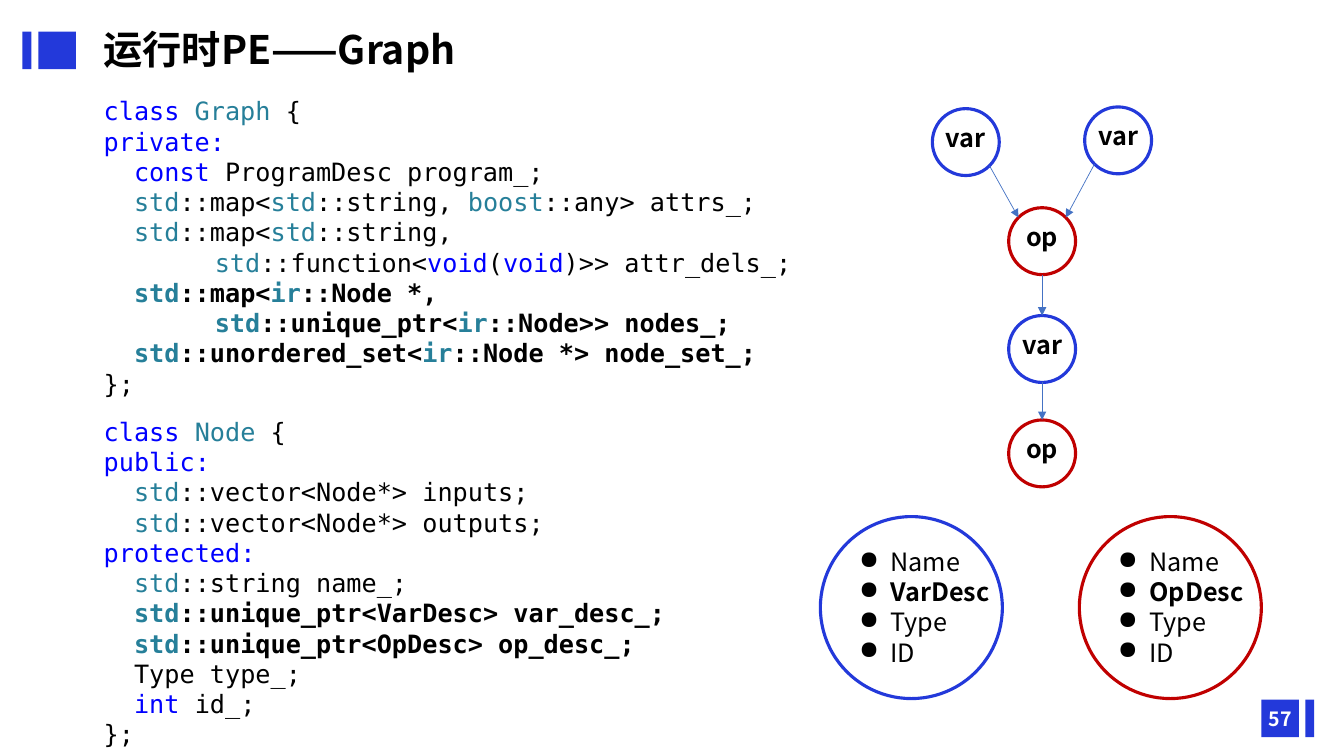
import math
import pptx
import pptx.dml.color
import pptx.enum.shapes
import pptx.enum.text
import pptx.oxml.ns
import pptx.oxml.xmlchemy
import pptx.util
from lxml import etree

Pt = pptx.util.Pt
ALIGN = pptx.enum.text.PP_ALIGN
ANCHOR = pptx.enum.text.MSO_ANCHOR
SHAPE = pptx.enum.shapes.MSO_SHAPE
STRAIGHT = pptx.enum.shapes.MSO_CONNECTOR.STRAIGHT

SANS, MONO = "Noto Sans CJK SC", "DejaVu Sans Mono"
BLACK, WHITE, BLUE, RED = "000000", "FFFFFF", "2339DA", "C00000"
KEYWORD, TYPE, ARROW = "0000FF", "267F99", "4472C4"

TITLE = "运行时PE——Graph"
PAGE_NUMBER = "57"
STD = ("  std", TYPE)
NESTED_STD = ("\t    std", TYPE)
IR = ("ir", TYPE)
CLOSE = (False, [("};", BLACK)])

GRAPH_CODE = [
    (False, [("class ", KEYWORD), ("Graph", TYPE), (" {", BLACK)]),
    (False, [("private:", KEYWORD)]),
    (False, [("  const ", KEYWORD), ("ProgramDesc program_;", BLACK)]),
    (False, [STD, ("::map<", BLACK), ("std", TYPE), ("::string, ", BLACK),
             ("boost", TYPE), ("::any> attrs_;", BLACK)]),
    (False, [STD, ("::map<", BLACK), ("std", TYPE), ("::string,", BLACK)]),
    (False, [NESTED_STD, ("::function<", BLACK), ("void", KEYWORD), ("(", BLACK),
             ("void", KEYWORD), (")>> attr_dels_;", BLACK)]),
    (True, [STD, ("::map<", BLACK), IR, ("::Node *,", BLACK)]),
    (True, [NESTED_STD, ("::unique_ptr<", BLACK), IR, ("::Node>> nodes_;", BLACK)]),
    (True, [STD, ("::unordered_set<", BLACK), IR, ("::Node *> node_set_;", BLACK)]),
    CLOSE,
]
NODE_CODE = [
    (False, [("class ", KEYWORD), ("Node", TYPE), (" {", BLACK)]),
    (False, [("public:", KEYWORD)]),
    (False, [STD, ("::vector<Node*> inputs;", BLACK)]),
    (False, [STD, ("::vector<Node*> outputs;", BLACK)]),
    (False, [("protected:", KEYWORD)]),
    (False, [STD, ("::string name_;", BLACK)]),
    (True, [STD, ("::unique_ptr<VarDesc> var_desc_;", BLACK)]),
    (True, [STD, ("::unique_ptr<OpDesc> op_desc_;", BLACK)]),
    (False, [("  Type type_;", BLACK)]),
    (False, [("  int", KEYWORD), (" id_;", BLACK)]),
    CLOSE,
]
BARS = [(27.4, 22.6, 26.8), (16, 22.6, 6.4), (901, 499.7, 26.8), (932.4, 499.7, 6.4)]
BAR_HEIGHT = 26.8

NODE_SIZE = 47.8
NODES = {
    "left input": ("var", BLUE, 666, 77.6),
    "right input": ("var", BLUE, 774.8, 76.4),
    "first op": ("op", RED, 720.5, 148.4),
    "output": ("var", BLUE, 720.5, 225.4),
    "last op": ("op", RED, 720.5, 300),
}
DIAGONAL = math.sqrt(0.5)
TOP, BOTTOM = (0, -1), (0, 1)
TOP_LEFT, TOP_RIGHT = (-DIAGONAL, -DIAGONAL), (DIAGONAL, -DIAGONAL)
BOTTOM_LEFT, BOTTOM_RIGHT = (-DIAGONAL, DIAGONAL), (DIAGONAL, DIAGONAL)
EDGES = [
    ("left input", BOTTOM_RIGHT, "first op", TOP_LEFT),
    ("right input", BOTTOM_LEFT, "first op", TOP_RIGHT),
    ("first op", BOTTOM, "output", TOP),
    ("output", BOTTOM, "last op", TOP),
]
DETAIL_SIZE = 130
DETAIL_TOP = 369
DETAILS = [("VarDesc", BLUE, 586), ("OpDesc", RED, 771)]


def colour(code):
    return pptx.dml.color.RGBColor.from_string(code)


def add_text(shapes, left, top, width, height, lines, size=18, face=SANS,
             align=ALIGN.LEFT, anchor=ANCHOR.TOP, bullet=None):
    box = shapes.add_textbox(Pt(left), Pt(top), Pt(width), Pt(height))
    frame = box.text_frame
    frame.word_wrap = True
    frame.vertical_anchor = anchor
    for number, (bold, spans) in enumerate(lines):
        para = frame.add_paragraph() if number else frame.paragraphs[0]
        para.alignment = align
        if bullet:
            properties = para._p.get_or_add_pPr()
            properties.set("marL", str(Pt(22.5)))
            properties.set("indent", str(-Pt(22.5)))
            mark = etree.SubElement(properties, pptx.oxml.ns.qn("a:buChar"))
            mark.set("char", bullet)
        for text, code in spans:
            span = para.add_run()
            span.text = text
            span.font.size = Pt(size)
            span.font.bold = bold
            span.font.color.rgb = colour(code)
            span.font.name = face
            asian = etree.SubElement(span._r.get_or_add_rPr(), pptx.oxml.ns.qn("a:ea"))
            asian.set("typeface", face)


def add_circle(shapes, left, top, size, code):
    circle = shapes.add_shape(SHAPE.OVAL, Pt(left), Pt(top), Pt(size), Pt(size))
    circle.shadow.inherit = False
    circle.fill.background()
    circle.line.color.rgb = colour(code)
    circle.line.width = Pt(2.25)


def rim_point(name, direction):
    left, top = NODES[name][2:]
    radius = NODE_SIZE / 2
    return Pt(left + radius * (1 + direction[0])), Pt(top + radius * (1 + direction[1]))


def add_arrow(page, start, end):
    arrow = page.shapes.add_connector(STRAIGHT, *start, *end)
    arrow.line.color.rgb = colour(ARROW)
    arrow.line.width = Pt(0.5)
    head = etree.SubElement(arrow.line._get_or_add_ln(), pptx.oxml.ns.qn("a:tailEnd"))
    head.set("type", "triangle")
    etree.SubElement(arrow._element.spPr, pptx.oxml.ns.qn("a:effectLst"))


def main():
    deck = pptx.Presentation()
    deck.slide_width, deck.slide_height = Pt(960), Pt(540)
    page = deck.slides.add_slide(deck.slide_layouts[6])

    for left, top, width in BARS:
        bar = page.shapes.add_shape(SHAPE.RECTANGLE, Pt(left), Pt(top), Pt(width), Pt(BAR_HEIGHT))
        bar.shadow.inherit = False
        bar.fill.solid()
        bar.fill.fore_color.rgb = colour(BLUE)
        bar.line.fill.background()

    add_text(page.shapes, 67, 14.4, 352, 48, [(True, [(TITLE, BLACK)])], size=28)
    add_text(page.shapes, 895, 499, 39, 28.8, [(True, [(PAGE_NUMBER, WHITE)])], size=14,
             align=ALIGN.CENTER, anchor=ANCHOR.MIDDLE)
    add_text(page.shapes, 67, 64.8, 590, 230, GRAPH_CODE, face=MONO)

    for label, code, left, top in NODES.values():
        group = page.shapes.add_group_shape()
        add_circle(group.shapes, left, top, NODE_SIZE, code)
        add_text(group.shapes, left - 3.4, top + 6.2, NODE_SIZE + 6.8, 28.8,
                 [(True, [(label, BLACK)])], align=ALIGN.CENTER)

    for source, leaving, target, entering in EDGES:
        add_arrow(page, rim_point(source, leaving), rim_point(target, entering))

    add_text(page.shapes, 67, 293.8, 430, 246, NODE_CODE, face=MONO)

    for description, code, left in DETAILS:
        group = page.shapes.add_group_shape()
        add_circle(group.shapes, left, DETAIL_TOP, DETAIL_SIZE, code)
        fields = ["Name", description, "Type", "ID"]
        lines = [(field == description, [(field, BLACK)]) for field in fields]
        add_text(group.shapes, left + 20.5, DETAIL_TOP + 17.6, 112, 94, lines, bullet="●")

    deck.save("out.pptx")


if __name__ == "__main__":
    main()
